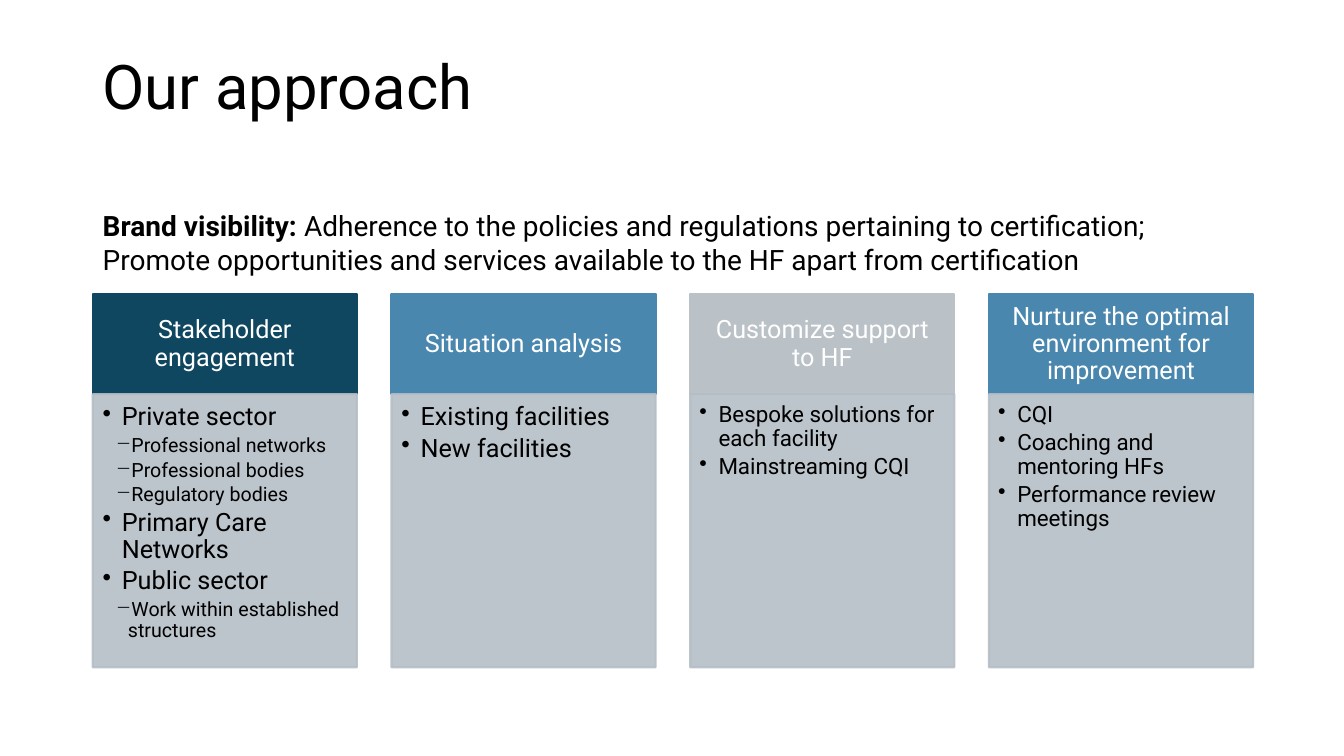
from lxml.etree import SubElement
from pptx import Presentation
from pptx.dml.color import RGBColor
from pptx.enum.shapes import MSO_SHAPE as Shape
from pptx.enum.text import MSO_ANCHOR as Anchor, PP_ALIGN as Align
from pptx.oxml.ns import qn
from pptx.util import Inches, Pt

# Content
TITLE = "Our approach"
INTRO_LABEL = "Brand visibility: "
INTRO = ("Adherence to the policies and regulations pertaining to certification; "
         "Promote opportunities and services available to the HF apart from certification")

# Each pillar: heading, heading colour, size of main points, (level, point) list
PILLARS = [
    ("Stakeholder engagement", "navy", "point", [
        (0, "Private sector"),
        (1, "Professional networks"),
        (1, "Professional bodies"),
        (1, "Regulatory bodies"),
        (0, "Primary Care Networks"),
        (0, "Public sector"),
        (1, "Work within established structures")]),
    ("Situation analysis", "blue", "point", [
        (0, "Existing facilities"),
        (0, "New facilities")]),
    ("Customize support to HF", "grey", "small_point", [
        (0, "Bespoke solutions for each facility"),
        (0, "Mainstreaming CQI")]),
    ("Nurture the optimal environment for improvement", "blue", "small_point", [
        (0, "CQI"),
        (0, "Coaching and mentoring HFs"),
        (0, "Performance review meetings")]),
]

THEME = {
    "font": "Roboto",
    "color": {"text": "000000", "light": "FFFFFF", "navy": "104760",
              "blue": "4987AF", "grey": "BAC1C7", "panel": "B5BEC7"},
    "size": {"title": 44, "intro": 20, "heading": 18,
             "point": 18, "small_point": 16, "subpoint": 14},
}

# Layout, in inches
LEFT, PILLAR_W, PILLAR_STEP = 0.92, 2.62, 2.963
HEADING_TOP, HEADING_H, PANEL_H = 2.92, 0.99, 2.71
HEADING_INSETS = (0.14, 0.08, 0.14, 0.08)
PANEL_INSETS = {"point": (0.1, 0.1, 0.14, 0.16),
                "small_point": (0.09, 0.09, 0.12, 0.14)}
BULLETS = [("•", 0.19, -0.19), ("─", 0.25, -0.12)]  # sign, margin, indent
LINE_SPACING, GAP_RATIO = 0.9, 0.17


def color(key):
    return RGBColor.from_string(THEME["color"][key])


def style(run, size, ink="text", bold=False):
    run.font.name = THEME["font"]
    run.font.size = Pt(THEME["size"][size])
    run.font.color.rgb = color(ink)
    run.font.bold = bold


def add_text_box(slide, left, top, width, height):
    frame = slide.shapes.add_textbox(*map(Inches, (left, top, width, height))).text_frame
    frame.word_wrap = True
    return frame


def add_block(slide, left, top, height, fill, insets, anchor, alpha=None):
    block = slide.shapes.add_shape(
        Shape.RECTANGLE, *map(Inches, (left, top, PILLAR_W, height)))
    block.shadow.inherit = False
    block.fill.solid()
    block.line.width = Pt(1.5)
    block.fill.fore_color.rgb = block.line.color.rgb = color(fill)
    if alpha:
        for paint in block._element.spPr.iter(qn("a:srgbClr")):
            SubElement(paint, qn("a:alpha"), val=str(alpha * 1000))
    frame = block.text_frame
    frame.word_wrap = True
    frame.vertical_anchor = anchor
    (frame.margin_left, frame.margin_top,
     frame.margin_right, frame.margin_bottom) = map(Inches, insets)
    return frame


def add_points(frame, points, main_size):
    for index, (level, text) in enumerate(points):
        point = frame.add_paragraph() if index else frame.paragraphs[0]
        size = "subpoint" if level else main_size
        sign, margin, indent = BULLETS[level]
        point.text = text
        point.level = level
        point.alignment = Align.LEFT
        point.line_spacing = LINE_SPACING
        point.space_after = Pt(THEME["size"][size] * GAP_RATIO)
        style(point.runs[0], size)
        props = point._p.get_or_add_pPr()
        props.set("marL", str(Inches(margin)))
        props.set("indent", str(Inches(indent)))
        SubElement(props, qn("a:buChar"), char=sign)


def main():
    deck = Presentation()
    deck.slide_width, deck.slide_height = Inches(13.33), Inches(7.5)
    slide = deck.slides.add_slide(deck.slide_layouts[6])

    # Title
    title = add_text_box(slide, LEFT, 0.4, 11.5, 0.98)
    title.vertical_anchor = Anchor.MIDDLE
    title.text = TITLE
    title.paragraphs[0].line_spacing = LINE_SPACING
    style(title.paragraphs[0].runs[0], "title")

    # Pillars: heading above a panel of points
    for column, (heading, fill, main_size, points) in enumerate(PILLARS):
        left = LEFT + column * PILLAR_STEP
        head = add_block(slide, left, HEADING_TOP, HEADING_H, fill,
                         HEADING_INSETS, Anchor.MIDDLE)
        head.text = heading
        head.paragraphs[0].alignment = Align.CENTER
        head.paragraphs[0].line_spacing = LINE_SPACING
        style(head.paragraphs[0].runs[0], "heading", "light")
        panel = add_block(slide, left, HEADING_TOP + HEADING_H, PANEL_H, "panel",
                          PANEL_INSETS[main_size], Anchor.TOP, alpha=90)
        add_points(panel, points, main_size)

    # Introduction
    intro = add_text_box(slide, LEFT, 2.02, 11.33, 0.77).paragraphs[0]
    for text, bold in ((INTRO_LABEL, True), (INTRO, False)):
        run = intro.add_run()
        run.text = text
        style(run, "intro", bold=bold)

    deck.save("out.pptx")


if __name__ == "__main__":
    main()
